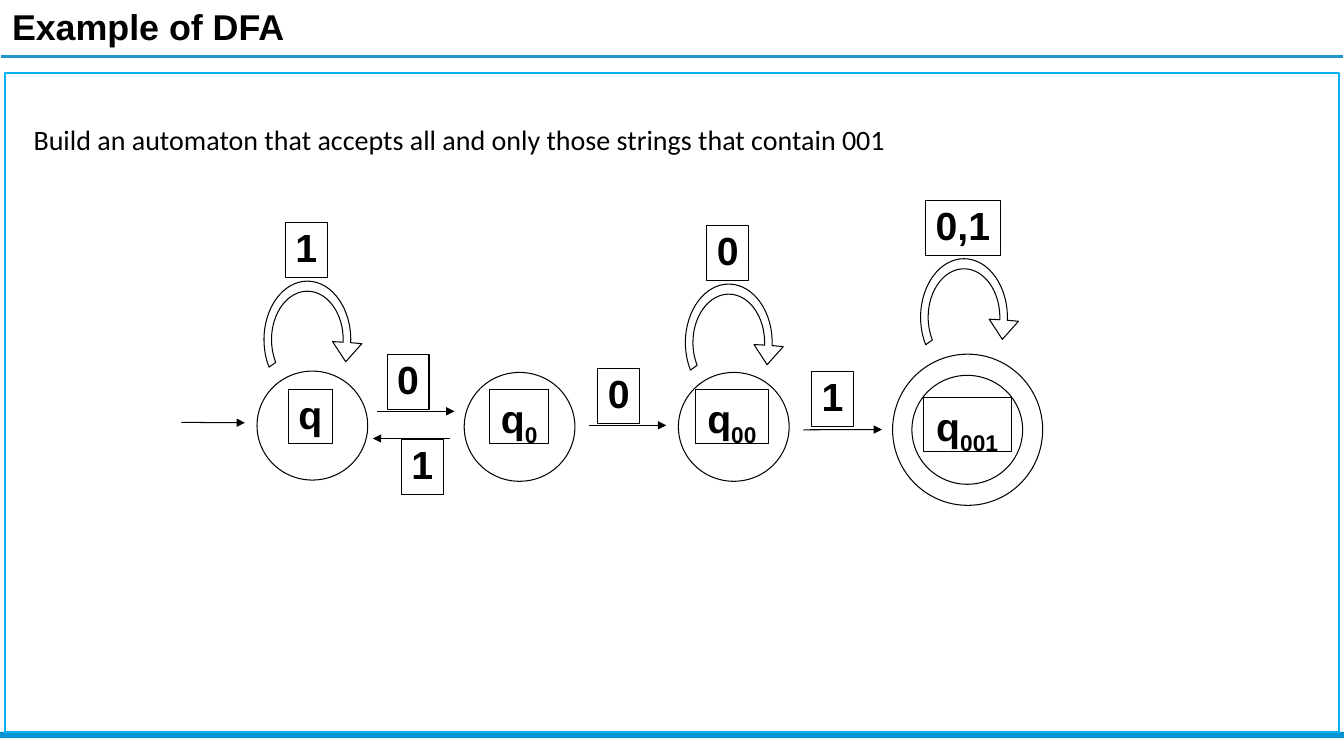
from math import cos, sin, tan, radians
from lxml.etree import SubElement
from pptx import Presentation
from pptx.dml.color import RGBColor
from pptx.enum.shapes import MSO_CONNECTOR as Conn, MSO_SHAPE as Kind
from pptx.enum.text import MSO_ANCHOR as Anchor, MSO_AUTO_SIZE as Fit, PP_ALIGN as Align
from pptx.oxml.ns import qn
from pptx.util import Pt

BLACK, WHITE = "000000", "FFFFFF"
ROW = 266       # top of the state circles


def paint(fmt, color):
    """Set a solid colour on a fill or a font."""
    if hasattr(fmt, "solid"):
        fmt.solid()
        fmt.fore_color.rgb = RGBColor.from_string(color)
    else:
        fmt.color.rgb = RGBColor.from_string(color)


def style(shape, fill=None, line=None, width=0.75):
    shape.shadow.inherit = False
    if fill:
        paint(shape.fill, fill)
    else:
        shape.fill.background()
    if line:
        paint(shape.line.fill, line)
        shape.line.width = Pt(width)
    else:
        shape.line.fill.background()
    return shape


def add_shape(slide, kind, x, y, w, h, **look):
    shape = slide.shapes.add_shape(kind, Pt(x), Pt(y), Pt(w), Pt(h))
    return style(shape, **look)


def set_frame(frame, left=0, top=0, wrap=True):
    frame.margin_left = frame.margin_right = Pt(left)
    frame.margin_top = frame.margin_bottom = Pt(top)
    frame.vertical_anchor = Anchor.TOP
    frame.auto_size = Fit.NONE
    frame.word_wrap = wrap
    return frame.paragraphs[0]


def add_run(para, text, size, name="Arial", color=BLACK, bold=True, sub=False):
    run = para.add_run()
    run.text = text
    font = run.font
    font.size, font.name, font.bold = Pt(size), name, bold
    paint(font, color)
    if sub:
        run._r.get_or_add_rPr().set("baseline", "-25000")


def add_label(slide, text, x, y, w=30, h=39.4, sub=""):
    box = add_shape(slide, Kind.RECTANGLE, x, y, w, h, line=BLACK)
    para = set_frame(box.text_frame, 7.2, 3.6, wrap=False)
    para.alignment = Align.CENTER
    para.line_spacing = 0.93
    add_run(para, text, 28)
    if sub:
        add_run(para, sub, 28, sub=True)


def add_line(slide, x1, y1, x2, y2, color=BLACK, width=0.75, arrow=True):
    line = slide.shapes.add_connector(Conn.STRAIGHT, Pt(x1), Pt(y1), Pt(x2), Pt(y2))
    paint(line.line.fill, color)
    line.line.width = Pt(width)
    if arrow:
        SubElement(line.line._get_or_add_ln(), qn("a:tailEnd"), type="triangle")
    SubElement(line._element.spPr, qn("a:effectLst"))


def arc(rx, ry, knots):
    """Points of the Bezier curves that join the knot angles on an ellipse."""
    knots = [radians(a) for a in knots]
    dots = [(rx * cos(knots[0]), ry * sin(knots[0]))]
    for a, b in zip(knots, knots[1:]):
        k = 4 / 3 * tan((b - a) / 4)
        dots += [(rx * (cos(a) - k * sin(a)), ry * (sin(a) + k * cos(a))),
                 (rx * (cos(b) + k * sin(b)), ry * (sin(b) - k * cos(b))),
                 (rx * cos(b), ry * sin(b))]
    return dots


def bend(lines):
    """Turn each three line segments into one curve."""
    for one, two, end in zip(lines[::3], lines[1::3], lines[2::3]):
        one.tag = qn("a:cubicBezTo")
        for seg in (two, end):
            one.append(seg[0])
            seg.getparent().remove(seg)


def add_loop(slide, x, y, text, w=30):
    """Curved arrow around the centre (x, y), with its label above."""
    knots = [152, 180, 270, 363]
    outer, inner = arc(31, 41.8, knots), arc(25.6, 34.6, knots[::-1])
    head = [(38.9, 2.9), (27.4, 15.8), (18, 1.4)]
    dots = [(Pt(x + dx), Pt(y + dy)) for dx, dy in outer + head + inner]
    pen = slide.shapes.build_freeform(*dots[0])
    pen.add_line_segments(dots[1:], close=True)
    shape = style(pen.convert_to_shape(), fill=WHITE, line=BLACK)
    lines = list(shape._element.iter(qn("a:lnTo")))
    size = len(outer) - 1
    bend(lines[:size])
    bend(lines[-size:])
    add_label(slide, text, x - w / 2 - 0.8, y - 83.5, w)


def main():
    deck = Presentation()
    deck.slide_width, deck.slide_height = Pt(960), Pt(540)
    slide = deck.slides.add_slide(deck.slide_layouts[5])

    # Title, rule, bottom bar and frame
    title = slide.shapes.title
    title.left, title.top, title.width, title.height = Pt(7.2), Pt(3.6), Pt(568), Pt(31)
    para = set_frame(title.text_frame, 1.4)
    para.alignment = Align.LEFT
    add_run(para, "Example of DFA", 25.6, color="010103")
    add_line(slide, 0.7, 40.3, 959, 40.3, "1F97C8", 2.25, arrow=False)
    add_shape(slide, Kind.RECTANGLE, 0, 522.7, 960, 4.5, fill="0793CF")
    add_shape(slide, Kind.RECTANGLE, 3.5, 52, 953.1, 470.7,
              fill=WHITE, line="00B0F0", width=1.25)

    # Task
    task = slide.shapes.add_textbox(Pt(24), Pt(75.6), Pt(930), Pt(36))
    para = set_frame(task.text_frame)
    para.alignment = Align.JUSTIFY
    para.line_spacing = 1.5
    add_run(para, "Build an automaton that accepts all and only those strings "
            "that contain 001", 20, "Calibri", bold=False)

    # States: circle left and top, label left, top and width, subscript
    states = [
        (183.6, ROW - 0.9, 205.9, 278, 31.7, ""),
        (331.6, ROW, 349.7, 278, 42.2, "0"),
        (484.6, ROW, 496.7, 278, 52.2, "00"),
        (651.4, ROW + 2.1, 659.3, 284.1, 63, "001"),
    ]
    add_shape(slide, Kind.OVAL, 637.6, 253, 107.2, 108, line=BLACK)
    for x, y, left, top, w, sub in states:
        add_shape(slide, Kind.OVAL, x, y, 79.1, 77.8, line=BLACK)
        add_label(slide, "q", left, top, w, 38.7, sub)

    # Loops
    add_loop(slide, 219.6, 242.6, "1")
    add_loop(slide, 520.6, 244.7, "0")
    add_loop(slide, 688.6, 226.6, "0,1", 53.6)

    # Arrows between states and their labels
    add_line(slide, 129.6, 301.7, 175, 302)
    steps = [
        (269.3, 293.8, 324.7, 293.8, "0", 276.5, 253.4),
        (321.6, 313.2, 266.4, 313.2, "1", 286.6, 313.9),
        (420.5, 303.8, 475.9, 303.8, "0", 427, 263.1),
        (573.8, 307, 630, 306.8, "1", 579.6, 265.3),
    ]
    for x1, y1, x2, y2, text, left, top in steps:
        add_line(slide, x1, y1, x2, y2)
        add_label(slide, text, left, top)

    deck.save("out.pptx")


if __name__ == "__main__":
    main()
